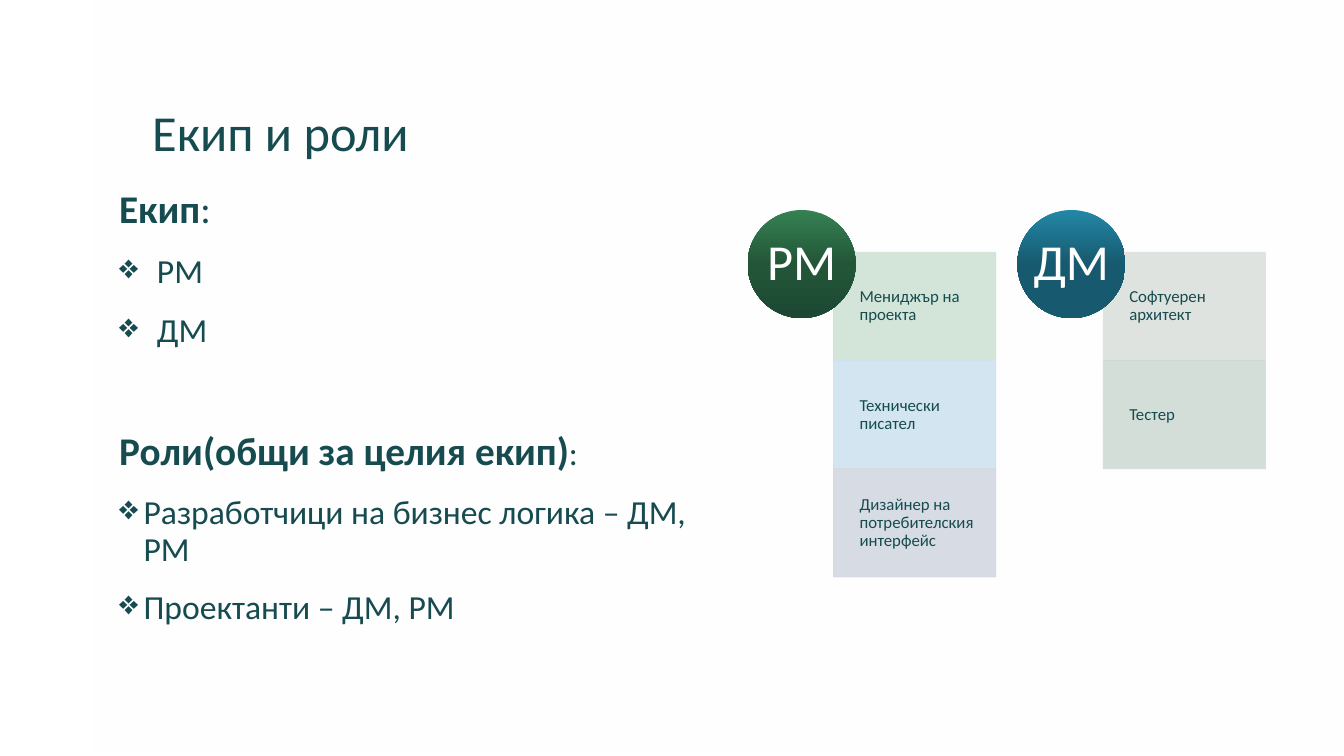
from lxml import etree
from pptx import Presentation
from pptx import util as u
from pptx.dml.color import RGBColor
from pptx.enum import shapes, text
from pptx.oxml import ns

TEAL = RGBColor(0x16, 0x4B, 0x4F)
WHITE = RGBColor(0xFF, 0xFF, 0xFF)
GREEN = [RGBColor(0x35, 0x81, 0x53), RGBColor(0x23, 0x56, 0x38), RGBColor(0x1C, 0x48, 0x33)]
BLUE = [RGBColor(0x23, 0x87, 0xA6), RGBColor(0x17, 0x5A, 0x6F), RGBColor(0x17, 0x5A, 0x6F)]
MINT = RGBColor(0xCF, 0xE3, 0xD5)
SKY = RGBColor(0xCE, 0xE3, 0xEF)
LAVENDER = RGBColor(0xD3, 0xD9, 0xE2)
GREY = RGBColor(0xDB, 0xE1, 0xDC)
SAGE = RGBColor(0xCE, 0xDB, 0xD3)

TITLE = "Екип и роли"
SECTIONS = [
    ("Екип", 27, 0, ["РМ", "ДМ"]),
    ("Роли(общи за целия екип)", 17.5, 58.4,
     ["Разработчици на бизнес логика – ДМ, РМ", "Проектанти – ДМ, РМ"]),
]
MEMBERS = [
    ("РМ", GREEN, [("Мениджър на проекта", MINT), ("Технически писател", SKY),
                   ("Дизайнер на потребителския интерфейс", LAVENDER)]),
    ("ДМ", BLUE, [("Софтуерен архитект", GREY), ("Тестер", SAGE)]),
]

CIRCLE_LEFT, CIRCLE_TOP, CIRCLE_SIZE = 534, 150, 77.2
MEMBER_STEP = 192.7
ROLE_SHIFT, ROLE_TOP, ROLE_WIDTH, ROLE_HEIGHT = 61.4, 180.2, 116, 77.3


def write(para, words, size=24, color=TEAL, bold=False, align=text.PP_ALIGN.LEFT, before=0):
    para.alignment = align
    para.line_spacing = 0.9
    para.space_before = u.Pt(before)
    span = para.add_run()
    span.text = words
    span.font.name = "Calibri"
    span.font.size = u.Pt(size)
    span.font.bold = bold
    span.font.color.rgb = color


def add_bullet(para, indent):
    props = para._p.get_or_add_pPr()
    props.set("marL", str(u.Pt(indent)))
    props.set("indent", str(-u.Pt(indent)))
    etree.SubElement(props, ns.qn("a:buChar")).set("char", "❖")


def set_frame(frame, insets, anchor, wrap=True):
    frame.word_wrap = wrap
    frame.auto_size = text.MSO_AUTO_SIZE.NONE
    frame.vertical_anchor = anchor
    frame.margin_left, frame.margin_top, frame.margin_right, frame.margin_bottom = map(u.Pt, insets)


def add_shape(page, kind, *bounds):
    shape = page.shapes.add_shape(kind, *map(u.Pt, bounds))
    shape.shadow.inherit = False
    shape.line.fill.background()
    return shape


def set_alpha(color_element, percent):
    etree.SubElement(color_element, ns.qn("a:alpha")).set("val", str(percent * 1000))


def fill_gradient(shape, stops):
    shape.fill.gradient()
    shape.fill.gradient_angle = 270
    stop_list = shape._element.spPr.find(ns.qn("a:gradFill")).find(ns.qn("a:gsLst"))
    for stop in list(stop_list):
        stop_list.remove(stop)
    for position, color, opacity in stops:
        stop = etree.SubElement(stop_list, ns.qn("a:gs"))
        stop.set("pos", str(position * 1000))
        tint = etree.SubElement(stop, ns.qn("a:srgbClr"))
        tint.set("val", str(color))
        if opacity < 100:
            set_alpha(tint, opacity)


def add_title(page):
    title = page.shapes.title
    title.left, title.top, title.width, title.height = map(u.Pt, (101.5, 30, 756, 90))
    set_frame(title.text_frame, (7.2, 3.6, 7.2, 3.6), text.MSO_ANCHOR.BOTTOM)
    write(title.text_frame.paragraphs[0], TITLE, size=36)


def add_sections(page):
    box = page.shapes.add_textbox(*map(u.Pt, (78, 132, 456, 390)))
    frame = box.text_frame
    set_frame(frame, (7.2, 3.6, 7.2, 3.6), text.MSO_ANCHOR.TOP)
    for number, (heading, indent, before, items) in enumerate(SECTIONS):
        para = frame.add_paragraph() if number else frame.paragraphs[0]
        write(para, heading, size=28, bold=True, before=before)
        write(para, ":", size=24 if number else 28, before=before)
        for item in items:
            para = frame.add_paragraph()
            add_bullet(para, indent)
            write(para, item, before=16)


def add_role(page, left, top, label, color):
    role = add_shape(page, shapes.MSO_SHAPE.RECTANGLE, left, top, ROLE_WIDTH, ROLE_HEIGHT)
    role.fill.solid()
    role.fill.fore_color.rgb = color
    role.line.color.rgb = color
    role.line.width = u.Pt(0.5)
    for tint in list(role._element.spPr.iter(ns.qn("a:srgbClr"))):
        set_alpha(tint, 90)
    set_frame(role.text_frame, (18.6, 6.5, 6.5, 6.5), text.MSO_ANCHOR.MIDDLE)
    write(role.text_frame.paragraphs[0], label, size=12)


def add_member(page, left, name, colors, roles):
    for row, (label, color) in enumerate(roles):
        add_role(page, left + ROLE_SHIFT, ROLE_TOP + row * ROLE_HEIGHT, label, color)
    circle = add_shape(page, shapes.MSO_SHAPE.OVAL, left, CIRCLE_TOP, CIRCLE_SIZE, CIRCLE_SIZE)
    fill_gradient(circle, [(step * 50, color, 100) for step, color in enumerate(colors)])
    set_frame(circle.text_frame, (0, 0, 0, 0), text.MSO_ANCHOR.MIDDLE, wrap=False)
    write(circle.text_frame.paragraphs[0], name, size=36, color=WHITE, align=text.PP_ALIGN.CENTER)


def main():
    deck = Presentation()
    deck.slide_width, deck.slide_height = u.Pt(960), u.Pt(540)
    page = deck.slides.add_slide(deck.slide_layouts[5])
    panel = add_shape(page, shapes.MSO_SHAPE.RECTANGLE, 66, 0, 894, 540)
    fill_gradient(panel, [(0, WHITE, 60), (100, WHITE, 0)])
    page.shapes._spTree.insert(2, panel._element)
    add_title(page)
    add_sections(page)
    for column, member in enumerate(MEMBERS):
        add_member(page, CIRCLE_LEFT + column * MEMBER_STEP, *member)
    deck.save("out.pptx")


if __name__ == "__main__":
    main()
